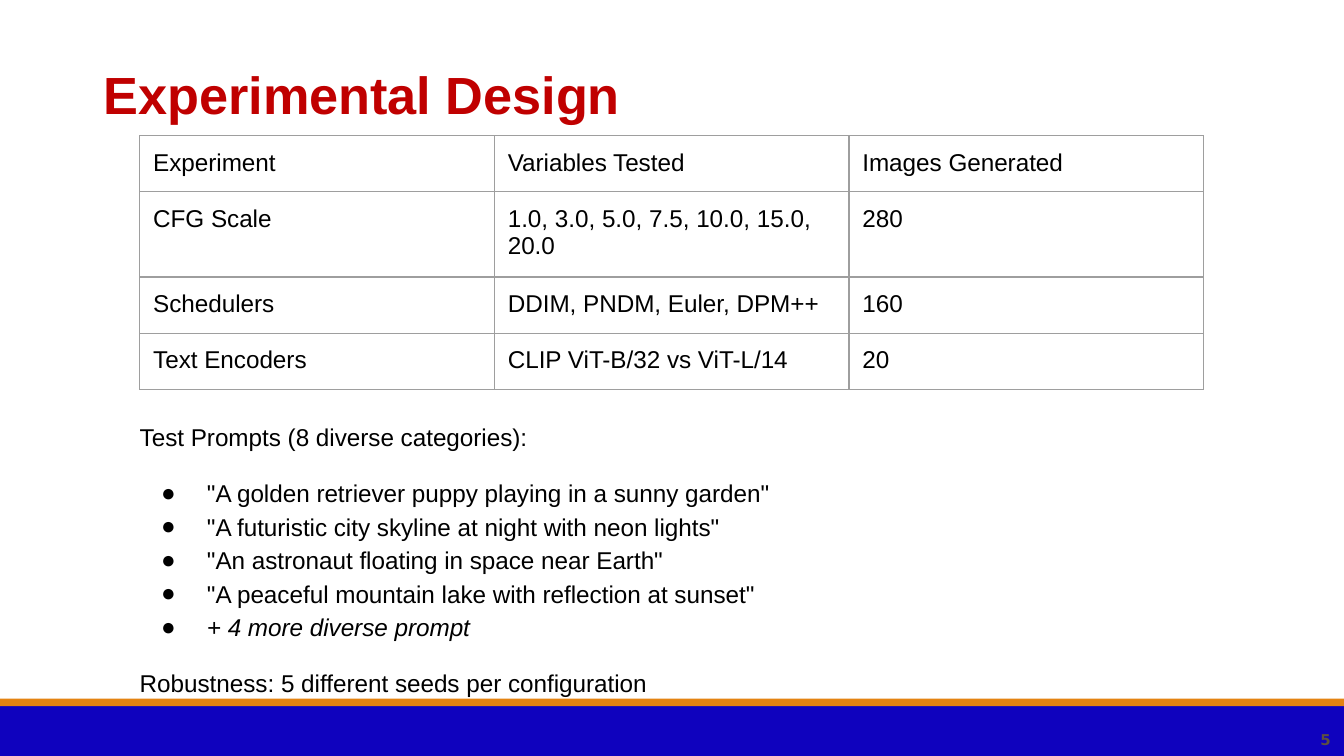
import pptx
import pptx.dml.color
import pptx.enum.shapes
import pptx.enum.text
import pptx.oxml
import pptx.oxml.ns
import pptx.util

WIDE = pptx.util.Inches(10)
HIGH = WIDE * 9 // 16
ALIGN = pptx.enum.text.PP_ALIGN
ANCHOR = pptx.enum.text.MSO_ANCHOR
BODY = {"size": pptx.util.Pt(13), "name": "Arial", "color": "000000"}
ROWS = [
    ("Experiment", "Variables Tested", "Images Generated"),
    ("CFG Scale", "1.0, 3.0, 5.0, 7.5, 10.0, 15.0, 20.0", "280"),
    ("Schedulers", "DDIM, PNDM, Euler, DPM++", "160"),
    ("Text Encoders", "CLIP ViT-B/32 vs ViT-L/14", "20"),
]
PROMPTS = [
    '"A golden retriever puppy playing in a sunny garden"',
    '"A futuristic city skyline at night with neon lights"',
    '"An astronaut floating in space near Earth"',
    '"A peaceful mountain lake with reflection at sunset"',
    "+ 4 more diverse prompt",
]


def tint(code):
    """Turn a hex string into a colour."""
    return pptx.dml.color.RGBColor.from_string(code)


def across(share):
    """Give a percentage of the slide width."""
    return int(WIDE * share / 100)


def down(share):
    """Give a percentage of the slide height."""
    return int(HIGH * share / 100)


def area(left, top, width, height):
    """Turn four percentages into a place on the slide."""
    return across(left), down(top), across(width), down(height)


def apply(item, values):
    """Set attributes from a dict of format values."""
    for name, value in values.items():
        if name == "color":
            item.color.rgb = tint(value)
        else:
            setattr(item, name, value)


def write(para, text, font, **form):
    """Fill one paragraph and format it."""
    para.text = text
    apply(para, form)
    apply(para.font, font)


def dot(para):
    """Give a paragraph a hanging round bullet."""
    props = para._p.get_or_add_pPr()
    props.set("marL", str(pptx.util.Inches(0.5)))
    props.set("indent", str(pptx.util.Inches(-0.34)))
    space = pptx.oxml.ns.nsdecls("a")
    for part in (
        f'<a:buClr {space}><a:srgbClr val="000000"/></a:buClr>',
        f'<a:buFont {space} typeface="Arial"/>',
        f'<a:buChar {space} char="●"/>',
    ):
        props.append(pptx.oxml.parse_xml(part))


def band(slide, place, code):
    """Draw a plain coloured bar."""
    bar = slide.shapes.add_shape(
        pptx.enum.shapes.MSO_SHAPE.RECTANGLE, *place)
    bar.shadow.inherit = False
    bar.fill.solid()
    bar.fill.fore_color.rgb = tint(code)
    bar.line.fill.background()


def head(slide, text):
    """Place and format the slide title."""
    title = slide.shapes.title
    spot = dict(zip(("left", "top", "width", "height"),
                    area(6.7, 6.4, 90, 11)))
    apply(title, spot)
    apply(title.text_frame, {"word_wrap": True,
                             "vertical_anchor": ANCHOR.BOTTOM})
    font = {"size": pptx.util.Pt(28), "name": "Arial",
            "bold": True, "color": "C00000"}
    write(title.text_frame.paragraphs[0], text, font,
          alignment=ALIGN.LEFT, line_spacing=0.85)


def label(slide, place, **form):
    """Add a wrapping text box and return its frame."""
    frame = slide.shapes.add_textbox(*place).text_frame
    apply(frame, {"word_wrap": True, **form})
    return frame


def edge(cell, code, width):
    """Draw a line on all four sides of a cell."""
    props = cell._tc.get_or_add_tcPr()
    space = pptx.oxml.ns.nsdecls("a")
    for spot, side in enumerate("LRTB"):
        props.insert(spot, pptx.oxml.parse_xml(
            f'<a:ln{side} {space} w="{pptx.util.Pt(width)}"><a:solidFill>'
            f'<a:srgbClr val="{code}"/></a:solidFill></a:ln{side}>'))


def grid(slide, rows, share):
    """Add the table of experiments."""
    place = area(10.4, 17.96, 79.15, len(rows) * share)
    table = slide.shapes.add_table(len(rows), len(rows[0]), *place).table
    apply(table, {"first_row": False, "horz_banding": False})
    pad = {f"margin_{side}": pptx.util.Inches(0.1)
           for side in ("left", "right", "top", "bottom")}
    for row, words in zip(table.rows, rows):
        for cell, text in zip(row.cells, words):
            apply(cell, pad)
            cell.fill.background()
            edge(cell, "9E9E9E", 0.75)
            write(cell.text_frame.paragraphs[0], text, BODY)


def notes(slide):
    """Add the prompts and the line on robustness."""
    frame = label(slide, area(10.4, 54.45, 80, 38),
                  margin_left=0, margin_right=0)
    gap = pptx.util.Pt(12)
    write(frame.paragraphs[0], "Test Prompts (8 diverse categories):", BODY,
          line_spacing=1.15)
    for text in PROMPTS:
        para = frame.add_paragraph()
        dot(para)
        write(para, text, {**BODY, "italic": text == PROMPTS[-1]},
              line_spacing=1.15,
              space_before=gap if text == PROMPTS[0] else 0)
    write(frame.add_paragraph(),
          "Robustness: 5 different seeds per configuration", BODY,
          line_spacing=1.15, space_before=gap)


def main():
    """Build the slide and save it."""
    deck = pptx.Presentation()
    apply(deck, {"slide_width": WIDE, "slide_height": HIGH})
    slide = deck.slides.add_slide(deck.slide_layouts[5])
    band(slide, area(0, 93.3, 100, 6.7), "0F02BE")
    band(slide, area(0, 92.4, 100, 1), "E48312")
    head(slide, "Experimental Design")
    frame = label(slide, area(79.2, 94.45, 20.8, 6.76),
                  vertical_anchor=ANCHOR.MIDDLE)
    font = {"size": pptx.util.Pt(8), "name": "DejaVu Sans",
            "bold": True, "color": "5D5040"}
    write(frame.paragraphs[0], "5", font, alignment=ALIGN.RIGHT)
    notes(slide)
    grid(slide, ROWS, 7.4)
    deck.save("out.pptx")


if __name__ == "__main__":
    main()
